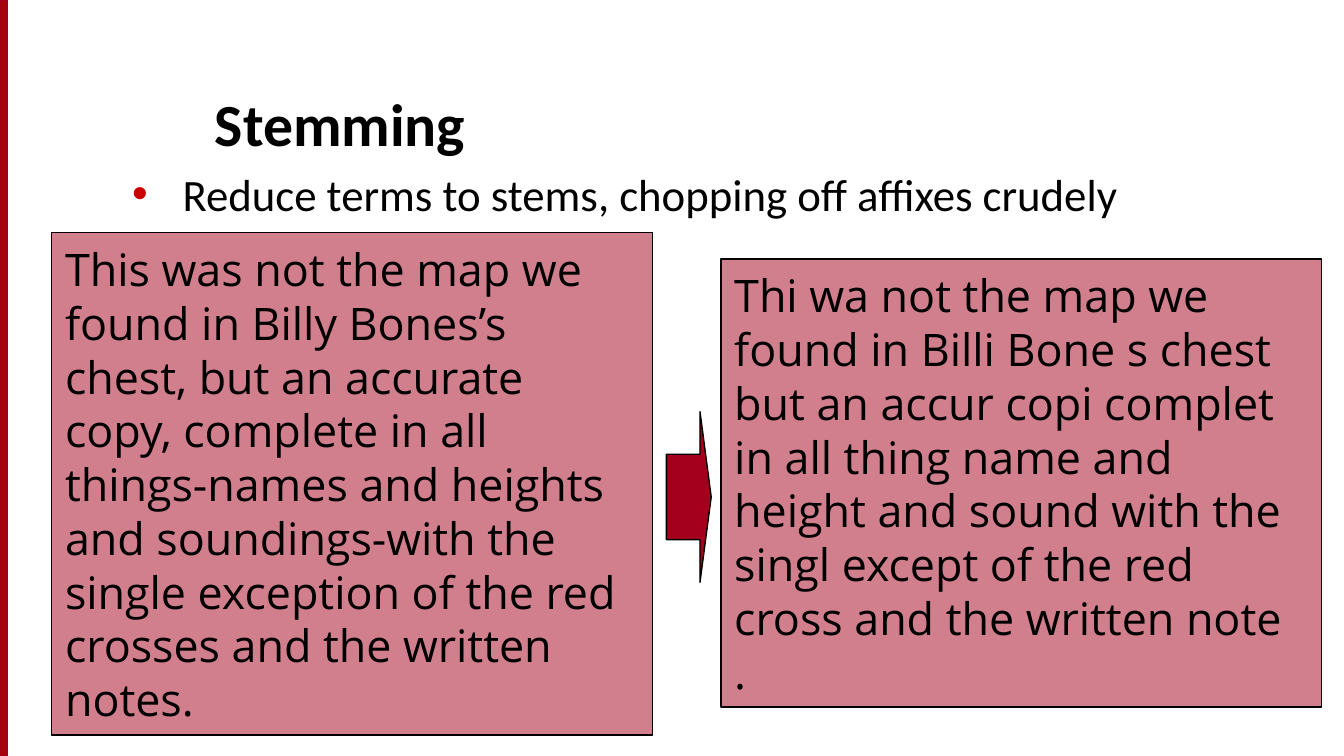
from lxml.etree import SubElement
from pptx import Presentation
from pptx.dml.color import RGBColor
from pptx.enum.shapes import MSO_SHAPE as SHAPE
from pptx.enum.text import MSO_ANCHOR as ANCHOR, MSO_AUTO_SIZE as AUTO, PP_ALIGN as ALIGN
from pptx.oxml.ns import qn
from pptx.util import Pt

PX = 9525
WIDTH, HEIGHT = 960, 540
RED = RGBColor(0xA4, 0x00, 0x1D)
STRIPE_RED = RGBColor(0xA4, 0x05, 0x08)
BLACK = RGBColor(0, 0, 0)
BULLET_RED = RGBColor(0xCC, 0x00, 0x00)
BEFORE = [
    "This was not the map we found in Billy Bones’s chest, but an accurate copy, "
    "complete in all things-names and heights and soundings-with the single "
    "exception of the red crosses and the written notes."
]
AFTER = [
    "Thi wa not the map we found in Billi Bone s chest but an accur copi complet "
    "in all thing name and height and sound with the singl except of the red "
    "cross and the written note",
    ".",
]


def emu(box):
    """Turn a box in px into EMU."""
    return [n * PX for n in box]


def write(sp, lines, font, size, anchor, bold=False):
    """Fill a shape with left-aligned paragraphs in one font."""
    tf = sp.text_frame
    tf.text = "\n".join(lines)
    tf.word_wrap = True
    tf.auto_size = AUTO.NONE
    tf.vertical_anchor = anchor
    for p in tf.paragraphs:
        p.alignment = ALIGN.LEFT
        for r in p.runs:
            r.font.name = font
            r.font.size = Pt(size)
            r.font.bold = bold
            r.font.color.rgb = BLACK
    return tf


def add_block(slide, kind, box, fill, line):
    """Add a filled preset shape with a thin outline."""
    sp = slide.shapes.add_shape(kind, *emu(box))
    sp.shadow.inherit = False
    sp.fill.solid()
    sp.fill.fore_color.rgb = fill
    sp.line.color.rgb = line
    sp.line.width = Pt(0.75)
    return sp


def add_title(slide, box, text):
    """Add the bold slide title, resting on the bottom of its box."""
    write(slide.shapes.add_textbox(*emu(box)), [text], "Calibri", 32, ANCHOR.BOTTOM, True)


def add_bullet(slide, box, text):
    """Add the body text with a red bullet and hanging indent."""
    sp = slide.shapes.add_textbox(*emu(box))
    tf = write(sp, [text], "Calibri", 24, ANCHOR.TOP)
    pPr = tf.paragraphs[0]._p.get_or_add_pPr()
    pPr.set("marL", str(36 * PX))
    pPr.set("indent", str(-36 * PX))
    SubElement(SubElement(pPr, qn("a:buClr")), qn("a:srgbClr"), val=str(BULLET_RED))
    SubElement(pPr, qn("a:buFont"), typeface="Arial")
    SubElement(pPr, qn("a:buChar"), char="•")


def add_passage(slide, box, lines):
    """Add a half-transparent red panel holding a passage."""
    sp = add_block(slide, SHAPE.RECTANGLE, box, RED, BLACK)
    color = sp.fill._xPr.find(qn("a:solidFill"))[0]
    SubElement(color, qn("a:alpha"), val="50000")
    tf = write(sp, lines, "Open Sans", 24, ANCHOR.MIDDLE)
    for p in tf.paragraphs:
        p.line_spacing = Pt(28.8)


def add_comparison(slide, box):
    """Add the passage before and after stemming, with an arrow between."""
    x, y, w, h = box
    panel_w, after_h = 429, 320
    add_passage(slide, (x, y, panel_w, h), BEFORE)
    arrow_box = (x + panel_w + 10, y + 128, 32, 122)
    arrow = add_block(slide, SHAPE.RIGHT_ARROW, arrow_box, RED, BLACK)
    arrow.adjustments[0] = 0.5
    arrow.adjustments[1] = 0.25
    add_passage(slide, (x + w - panel_w, y + (h - after_h) // 2, panel_w, after_h), AFTER)


def main():
    """Build and save the slide."""
    prs = Presentation()
    prs.slide_width, prs.slide_height = emu((WIDTH, HEIGHT))
    slide = prs.slides.add_slide(prs.slide_layouts[6])
    add_block(slide, SHAPE.RECTANGLE, (0, 0, 5, HEIGHT), STRIPE_RED, RED)
    add_title(slide, (144, 40, 784, 78), "Stemming")
    add_bullet(slide, (85, 114, 792, 360), "Reduce terms to stems, chopping off affixes crudely")
    add_comparison(slide, (37, 166, 907, 359))
    prs.save("out.pptx")


if __name__ == "__main__":
    main()
